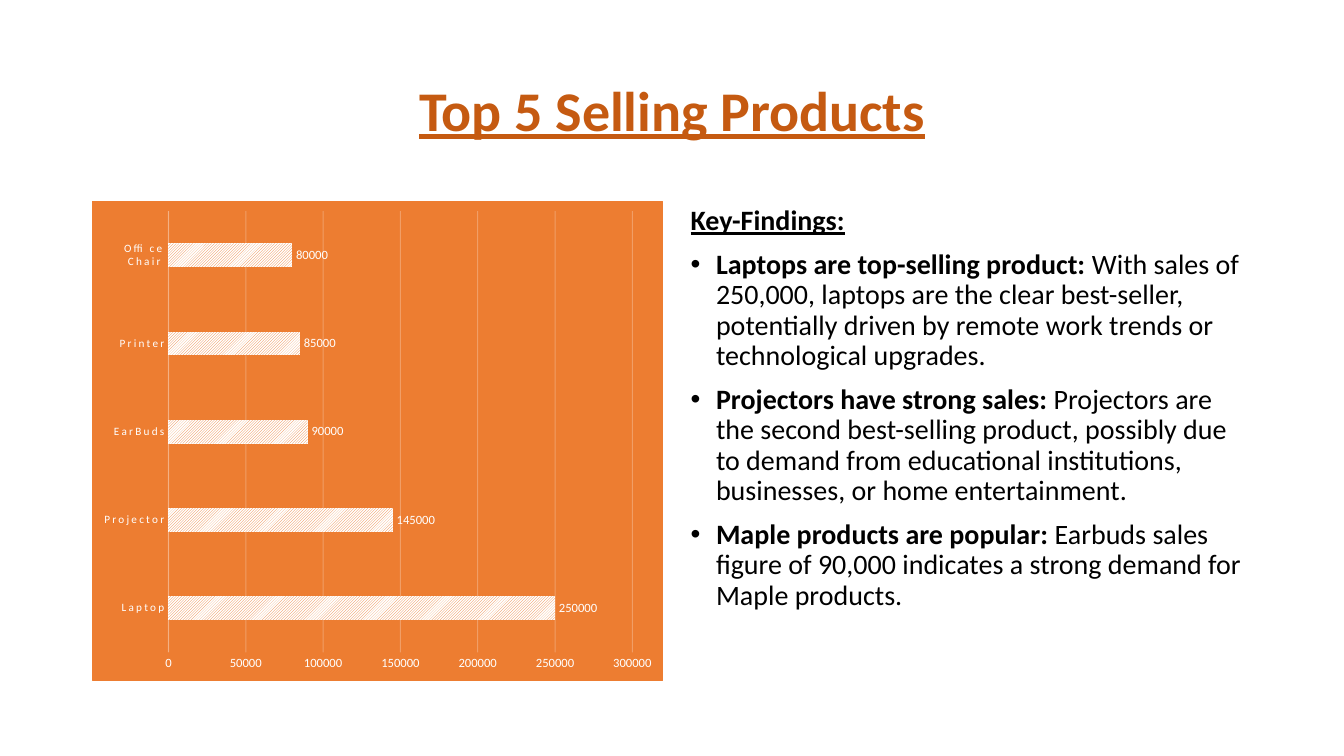
from dataclasses import dataclass

from lxml import etree
from pptx import Presentation
from pptx.chart import data as cd
from pptx.dml import color as col
from pptx.enum import chart as ec, dml, text
from pptx.oxml import ns, parse_xml
from pptx.util import Cm, Pt


@dataclass(frozen=True)
class Theme:
    font: str = "Calibri"
    head: str = "C55A11"
    ink: str = "000000"
    panel: str = "ED7D31"
    light: str = "FFFFFF"
    axis: str = "F4B183"
    title: float = 40
    body: float = 20
    tick: float = 9
    cat: float = 8


@dataclass(frozen=True)
class Box:
    left: float
    top: float
    width: float
    height: float

    def cm(self) -> tuple:
        return Cm(self.left), Cm(self.top), Cm(self.width), Cm(self.height)


@dataclass(frozen=True)
class Point:
    lead: str
    rest: str = ""


@dataclass(frozen=True)
class Item:
    name: str
    sales: int


THEME = Theme()
TITLE = Box(2.33, 1.01, 29.21, 3.68)
CHART = Box(2.33, 5.07, 14.39, 12.09)
NOTES = Box(17.15, 5.07, 14.39, 12.09)
INDENT = Cm(0.64)

POINTS = [
    Point("Key-Findings:"),
    Point("Laptops are top-selling product: ",
          "With sales of 250,000, laptops are the clear best-seller, potentially "
          "driven by remote work trends or technological upgrades."),
    Point("Projectors have strong sales: ",
          "Projectors are the second best-selling product, possibly due to demand "
          "from educational institutions, businesses, or home entertainment."),
    Point("Maple products are popular: ",
          "Earbuds sales figure of 90,000 indicates a strong demand for "
          "Maple products."),
]
ITEMS = [
    Item("Laptop", 250000),
    Item("Projector", 145000),
    Item("EarBuds", 90000),
    Item("Printer", 85000),
    Item("Office Chair", 80000),
]


def rgb(code: str) -> col.RGBColor:
    return col.RGBColor.from_string(code)


def style(font, size: float, code: str) -> None:
    font.name = THEME.font
    font.size = Pt(size)
    font.color.rgb = rgb(code)


def place(shape, box: Box) -> None:
    shape.left, shape.top, shape.width, shape.height = box.cm()
    shape.text_frame.auto_size = text.MSO_AUTO_SIZE.NONE


def add_title(shape) -> None:
    place(shape, TITLE)
    frame = shape.text_frame
    frame.vertical_anchor = text.MSO_ANCHOR.MIDDLE
    frame.text = "Top 5 Selling Products"
    para = frame.paragraphs[0]
    para.alignment = text.PP_ALIGN.CENTER
    para.line_spacing = 0.9
    style(para.font, THEME.title, THEME.head)
    para.font.bold = para.font.underline = True


def add_point(para, point: Point) -> None:
    """Write a bullet with a bold lead, or a plain heading if nothing follows."""
    para.line_spacing = 0.9
    para.space_before = Pt(10)
    style(para.font, THEME.body, THEME.ink)
    lead = para.add_run()
    lead.text = point.lead
    lead.font.bold = True
    props = para._p.get_or_add_pPr()
    gap = INDENT if point.rest else 0
    props.set("marL", str(gap))
    props.set("indent", str(-gap))
    if point.rest:
        para.add_run().text = point.rest
        mark = etree.Element(ns.qn("a:buChar"), char="•")
    else:
        lead.font.underline = True
        mark = etree.Element(ns.qn("a:buNone"))
    props.find(ns.qn("a:defRPr")).addprevious(mark)


def add_notes(shape) -> None:
    place(shape, NOTES)
    frame = shape.text_frame
    for i, point in enumerate(POINTS):
        add_point(frame.add_paragraph() if i else frame.paragraphs[0], point)


def fill_panel(chart) -> None:
    """Colour the chart area and its border."""
    paint = f'<a:solidFill><a:srgbClr val="{THEME.panel}"/></a:solidFill>'
    panel = parse_xml(
        f'<c:spPr {ns.nsdecls("c", "a")}>{paint}'
        f'<a:ln w="{Pt(0.75)}">{paint}</a:ln></c:spPr>')
    chart._chartSpace.find(ns.qn("c:chart")).addnext(panel)


def set_axes(chart) -> None:
    cats, vals = chart.category_axis, chart.value_axis
    for axis, size in ((cats, THEME.cat), (vals, THEME.tick)):
        axis.major_tick_mark = axis.minor_tick_mark = ec.XL_TICK_MARK.NONE
        style(axis.tick_labels.font, size, THEME.light)
    cats.format.line.color.rgb = rgb(THEME.axis)
    cats.format.line.width = Pt(0.25)
    cats._element.find(".//" + ns.qn("a:defRPr")).set("spc", "150")
    vals.minimum_scale, vals.maximum_scale = 0, 300000
    vals.major_unit = 50000
    vals.format.line.fill.background()
    vals.has_major_gridlines = True
    grid = vals.major_gridlines.format.line
    grid.color.rgb = rgb(THEME.light)
    grid.width = Pt(0.75)
    tint = vals._element.find(
        f'{ns.qn("c:majorGridlines")}//{ns.qn("a:srgbClr")}')
    etree.SubElement(tint, ns.qn("a:alpha"), val="25000")


def set_bars(plot) -> None:
    plot.gap_width, plot.overlap = 269, -20
    plot.vary_by_categories = False
    fill = plot.series[0].format.fill
    fill.patterned()
    fill.pattern = dml.MSO_PATTERN.LIGHT_UPWARD_DIAGONAL
    fill.fore_color.rgb = rgb(THEME.panel)
    fill.back_color.rgb = rgb(THEME.light)
    plot.has_data_labels = True
    labels = plot.data_labels
    labels.show_value = True
    labels.position = ec.XL_LABEL_POSITION.OUTSIDE_END
    style(labels.font, THEME.tick, THEME.light)


def add_sales(slide) -> None:
    data = cd.CategoryChartData()
    data.categories = [item.name for item in ITEMS]
    data.add_series("Series 1", [item.sales for item in ITEMS])
    chart = slide.shapes.add_chart(
        ec.XL_CHART_TYPE.BAR_CLUSTERED, *CHART.cm(), data).chart
    chart.has_title = chart.has_legend = False
    style(chart.font, 10, THEME.ink)
    fill_panel(chart)
    set_axes(chart)
    set_bars(chart.plots[0])


def main() -> None:
    deck = Presentation()
    deck.slide_width, deck.slide_height = Cm(33.87), Cm(19.05)
    slide = deck.slides.add_slide(deck.slide_layouts[1])
    add_title(slide.shapes.title)
    add_notes(slide.placeholders[1])
    add_sales(slide)
    deck.save("out.pptx")


if __name__ == "__main__":
    main()
